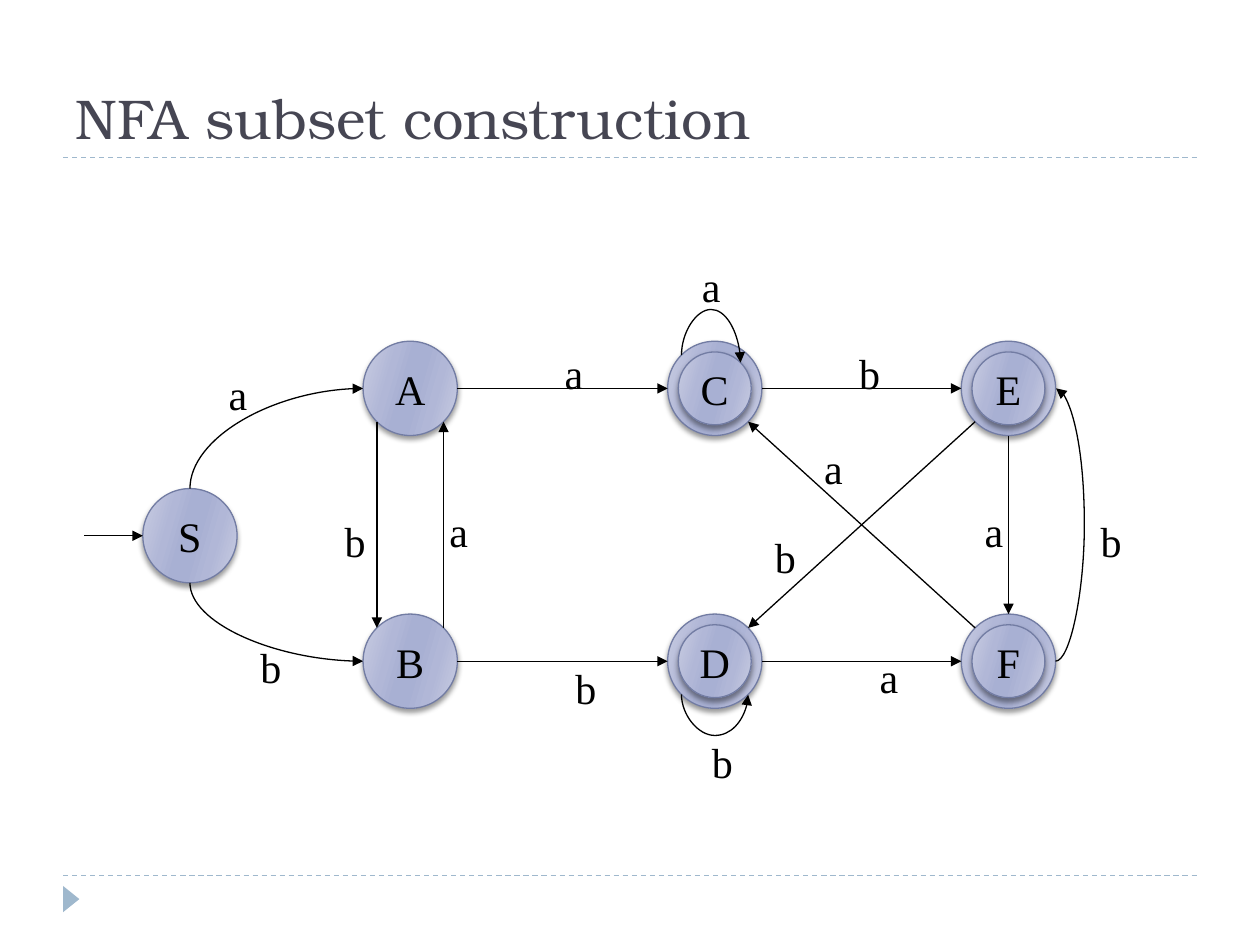
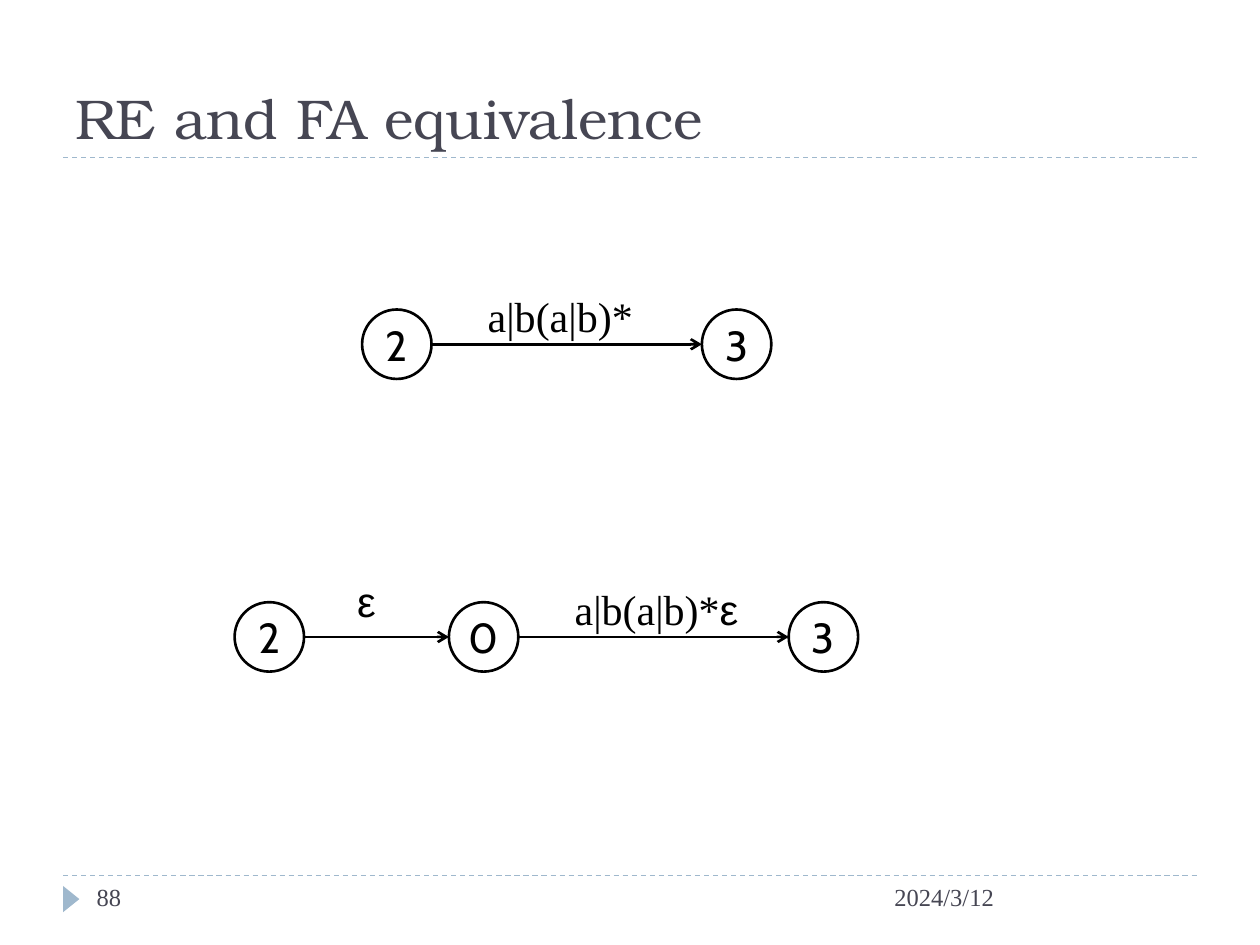
from math import cos, pi, sin

from lxml.etree import SubElement
from pptx import Presentation
from pptx.dml.color import RGBColor
from pptx.enum.dml import MSO_LINE
from pptx.enum.shapes import MSO_CONNECTOR as LINK, MSO_SHAPE as SHAPE
from pptx.enum.text import MSO_ANCHOR as ANCHOR, MSO_AUTO_SIZE as FIT, PP_ALIGN as ALIGN
from pptx.oxml.ns import qn
from pptx.util import Cm, Pt

INK, TITLE_INK, ACCENT, RIM = "000000", "464653", "9FB8CD", "727CA3"
SERIF, TITLE_FONT, NUMERAL, GREEK = "Times New Roman", "TeX Gyre Bonum", "Cabin", "Arial"
SHEEN = [(0, "C9CDE2"), (30, "B1B7D7"), (45, "A8B0D3"),
         (55, "A8B0D3"), (73, "B1B7D7"), (100, "C9CDE2")]
TOP, TOP_LEFT, LEFT, BOTTOM_LEFT, BOTTOM, BOTTOM_RIGHT, RIGHT, TOP_RIGHT = range(8)

TITLE_BOX = dict(left=Cm(1.27), top=Cm(0.43), width=Cm(22.86), height=Cm(2.74))
TITLE_FRAME = dict(vertical_anchor=ANCHOR.BOTTOM, word_wrap=True, auto_size=FIT.NONE)
CENTRED_FRAME = dict(vertical_anchor=ANCHOR.MIDDLE, word_wrap=False)
FOOTER_FRAME = dict(vertical_anchor=ANCHOR.TOP, word_wrap=True)

STATES = {
    "S": (2.13, 5.7, False),
    "A": (6.57, 2.73, False), "B": (6.57, 8.23, False),
    "C": (12.71, 2.73, True), "D": (12.71, 8.23, True),
    "E": (18.63, 2.73, True), "F": (18.63, 8.23, True),
}
STRAIGHT_MOVES = [
    ("B", TOP_RIGHT, "A", BOTTOM_RIGHT, "a", 7.55, 5.59),
    ("A", BOTTOM_LEFT, "B", TOP_LEFT, "b", 5.45, 5.8),
    ("A", RIGHT, "C", LEFT, "a", 9.87, 2.42),
    ("B", RIGHT, "D", LEFT, "b", 10.1, 8.77),
    ("D", RIGHT, "F", LEFT, "a", 16.22, 8.54),
    ("C", RIGHT, "E", LEFT, "b", 15.82, 2.42),
    ("E", BOTTOM, "F", TOP, "a", 18.34, 5.59),
    ("F", TOP_LEFT, "C", BOTTOM_RIGHT, "a", 15.1, 4.32),
    ("E", BOTTOM_LEFT, "D", TOP_RIGHT, "b", 14.12, 6.13),
]
CURVED_MOVES = [
    ("S", TOP, "A", LEFT, "a", 3.1, 2.84, 270, None, None),
    ("S", BOTTOM, "B", LEFT, "b", 3.75, 8.34, 270, "flipH", None),
    ("F", RIGHT, "E", RIGHT, "b", 20.69, 5.8, 0, "flipV", 0.58),
    ("C", TOP_LEFT, "C inner", TOP_RIGHT, "a", 12.64, 0.67, 90, "flipV", -0.92),
    ("D", BOTTOM_LEFT, "D", BOTTOM_RIGHT, "b", 12.85, 10.26, 270, "flipH", 0.83),
]


def colour(value):
    return RGBColor.from_string(value)


def assign(target, values):
    for key, value in values.items():
        setattr(target, key, value)


def add_xml(parent, tag, **attributes):
    return SubElement(parent, qn(tag), {key: str(value) for key, value in attributes.items()})


def write(frame, runs, size, ink, align, layout):
    assign(frame, layout)
    paragraph = frame.paragraphs[0]
    paragraph.alignment = align
    for words, face in runs:
        run = paragraph.add_run()
        run.text = words
        assign(run.font, dict(name=face, size=Pt(size)))
        run.font.color.rgb = colour(ink)


def label(shapes, runs, x, y, width=0.9):
    height = 1.27
    box = shapes.add_textbox(Cm(x - width / 2), Cm(y - height / 2), Cm(width), Cm(height))
    write(box.text_frame, runs, 24, INK, ALIGN.CENTER, CENTRED_FRAME)


def circle(shapes, x, y, size, rim, weight):
    disc = shapes.add_shape(SHAPE.OVAL, Cm(x - size / 2), Cm(y - size / 2), Cm(size), Cm(size))
    disc.shadow.inherit = False
    disc.fill.background()
    disc.line.color.rgb = colour(rim)
    disc.line.width = Pt(weight)
    return disc


def polish(disc):
    props = disc._element.spPr
    gradient = add_xml(props, "a:gradFill", rotWithShape=1)
    stops = add_xml(gradient, "a:gsLst")
    for position, shade in SHEEN:
        add_xml(add_xml(stops, "a:gs", pos=position * 1000), "a:srgbClr", val=shade)
    add_xml(gradient, "a:lin", ang=16 * 60000, scaled=0)
    props.replace(props.find(qn("a:noFill")), gradient)
    shade = add_xml(props.find(qn("a:effectLst")), "a:outerShdw",
                    blurRad=Pt(3), dist=Pt(2), dir=90 * 60000, rotWithShape=0)
    add_xml(add_xml(shade, "a:srgbClr", val=INK), "a:alpha", val=40000)


def rim_point(disc, site):
    radius = disc.width / 2
    angle = site * pi / 4
    return (round(disc.left + radius * (1 - sin(angle))),
            round(disc.top + radius * (1 - cos(angle))))


def style_line(line, ink, weight, head=None, dash=None):
    line.line.color.rgb = colour(ink)
    line.line.width = Pt(weight)
    if dash:
        line.line.dash_style = dash
    props = line._element.spPr
    if head:
        add_xml(props.find(qn("a:ln")), "a:tailEnd", type=head)
    add_xml(props, "a:effectLst")


def attach(line, source, source_site, target, target_site):
    joints = line._element.find(".//" + qn("p:cNvCxnSpPr"))
    add_xml(joints, "a:stCxn", id=source.shape_id, idx=source_site)
    add_xml(joints, "a:endCxn", id=target.shape_id, idx=target_site)


def arrow(shapes, source, source_site, target, target_site, weight, head):
    line = shapes.add_connector(LINK.STRAIGHT, *rim_point(source, source_site),
                                *rim_point(target, target_site))
    style_line(line, INK, weight, head)
    attach(line, source, source_site, target, target_site)


def curve(shapes, source, source_site, target, target_site, turn, flip, bulge):
    x1, y1 = rim_point(source, source_site)
    x2, y2 = rim_point(target, target_site)
    width, height = abs(x2 - x1), abs(y2 - y1)
    if turn % 180:
        width, height = height, width
    width = max(width, Cm(0.01))
    left, top = round((x1 + x2 - width) / 2), round((y1 + y2 - height) / 2)
    if not turn:
        left = min(x1, x2)
    line = shapes.add_connector(LINK.CURVE, left, top, left + width, top + height)
    props = line._element.spPr
    frame = props.find(qn("a:xfrm"))
    frame.set("rot", str(turn * 60000))
    if flip:
        frame.set(flip, "1")
    geometry = props.find(qn("a:prstGeom"))
    if bulge is None:
        geometry.set("prst", "curvedConnector2")
    else:
        bend = round(Cm(bulge) / width * 100000)
        add_xml(geometry.find(qn("a:avLst")), "a:gd", name="adj1", fmla=f"val {bend}")
    style_line(line, INK, 0.75, "triangle")
    attach(line, source, source_site, target, target_site)


def state(shapes, name, x, y, accepting):
    discs = {name: circle(shapes, x, y, 1.9, RIM, 0.75)}
    if accepting:
        discs[name + " inner"] = circle(shapes, x, y, 1.47, RIM, 0.75)
    for disc in discs.values():
        polish(disc)
    write(disc.text_frame, [(name, SERIF)], 24, INK, ALIGN.CENTER, CENTRED_FRAME)
    return discs


def automaton(slide, left, top):
    shapes = slide.shapes.add_group_shape().shapes
    discs = {}
    for name, (x, y, accepting) in STATES.items():
        discs.update(state(shapes, name, left + x, top + y, accepting))
    for source, leave, target, enter, symbol, x, y in STRAIGHT_MOVES:
        arrow(shapes, discs[source], leave, discs[target], enter, 0.75, "triangle")
        label(shapes, [(symbol, SERIF)], left + x, top + y)
    for source, leave, target, enter, symbol, x, y, *bend in CURVED_MOVES:
        curve(shapes, discs[source], leave, discs[target], enter, *bend)
        label(shapes, [(symbol, SERIF)], left + x, top + y)
    entry = slide.shapes.add_connector(LINK.STRAIGHT, Cm(left), Cm(top + STATES["S"][1]),
                                       *rim_point(discs["S"], LEFT))
    style_line(entry, INK, 0.75, "triangle")


def chain(slide, left, middle, stops, moves):
    shapes = slide.shapes.add_group_shape().shapes
    discs = []
    for name, x in stops:
        disc = circle(shapes, left + x, middle, 1.4, INK, 1.5)
        write(disc.text_frame, [(name, NUMERAL)], 24, INK, ALIGN.CENTER, CENTRED_FRAME)
        discs.append(disc)
    for i, (runs, shift, rise, width) in enumerate(moves):
        arrow(shapes, discs[i], RIGHT, discs[i + 1], LEFT, 1.5, "arrow")
        centre = left + (stops[i][1] + stops[i + 1][1]) / 2
        label(shapes, runs, centre + shift, middle - rise, width)


def footer(slide, top, number, date):
    for words, left, width in ((date, 17.78, 6.35), (number, 1.7, 5.5)):
        box = slide.shapes.add_textbox(Cm(left), Cm(top), Cm(width), Cm(1.02))
        write(box.text_frame, [(words, SERIF)], 14, TITLE_INK, ALIGN.LEFT, FOOTER_FRAME)


def titled_slide(deck, heading):
    slide = deck.slides.add_slide(deck.slide_layouts[5])
    for y in (17.65, 3.18):
        rule = slide.shapes.add_connector(LINK.STRAIGHT, Cm(1.27), Cm(y), Cm(24.13), Cm(y))
        style_line(rule, ACCENT, 0.75, dash=MSO_LINE.DASH)
    marker = slide.shapes.add_shape(SHAPE.ISOSCELES_TRIANGLE,
                                    Cm(1.17), Cm(17.96), Cm(0.53), Cm(0.33))
    marker.rotation = 90
    marker.shadow.inherit = False
    marker.fill.solid()
    marker.fill.fore_color.rgb = colour(ACCENT)
    marker.line.fill.background()
    title = slide.shapes.title
    assign(title, TITLE_BOX)
    write(title.text_frame, [(heading, TITLE_FONT)], 32, TITLE_INK, ALIGN.LEFT, TITLE_FRAME)
    return slide


def main():
    deck = Presentation()
    assign(deck, dict(slide_width=Cm(25.4), slide_height=Cm(19.05)))

    automaton(titled_slide(deck, "NFA subset construction"), 1.7, 5.1)

    equivalence = titled_slide(deck, "RE and FA equivalence")
    footer(equivalence, 17.65, "88", "2024/3/12")
    expression = ("a|b(a|b)*", SERIF)
    epsilon = ("ε", GREEK)
    chain(equivalence, 5.43, 12.84, [("2", 0), ("0", 4.32), ("3", 11.17)],
          [([epsilon], -0.2, 0.72, 0.9), ([expression, epsilon], 0.06, 0.57, 4.4)])
    chain(equivalence, 8, 6.94, [("2", 0), ("3", 6.85)],
          [([expression], -0.13, 0.57, 3.8)])

    deck.save("out.pptx")


if __name__ == "__main__":
    main()
